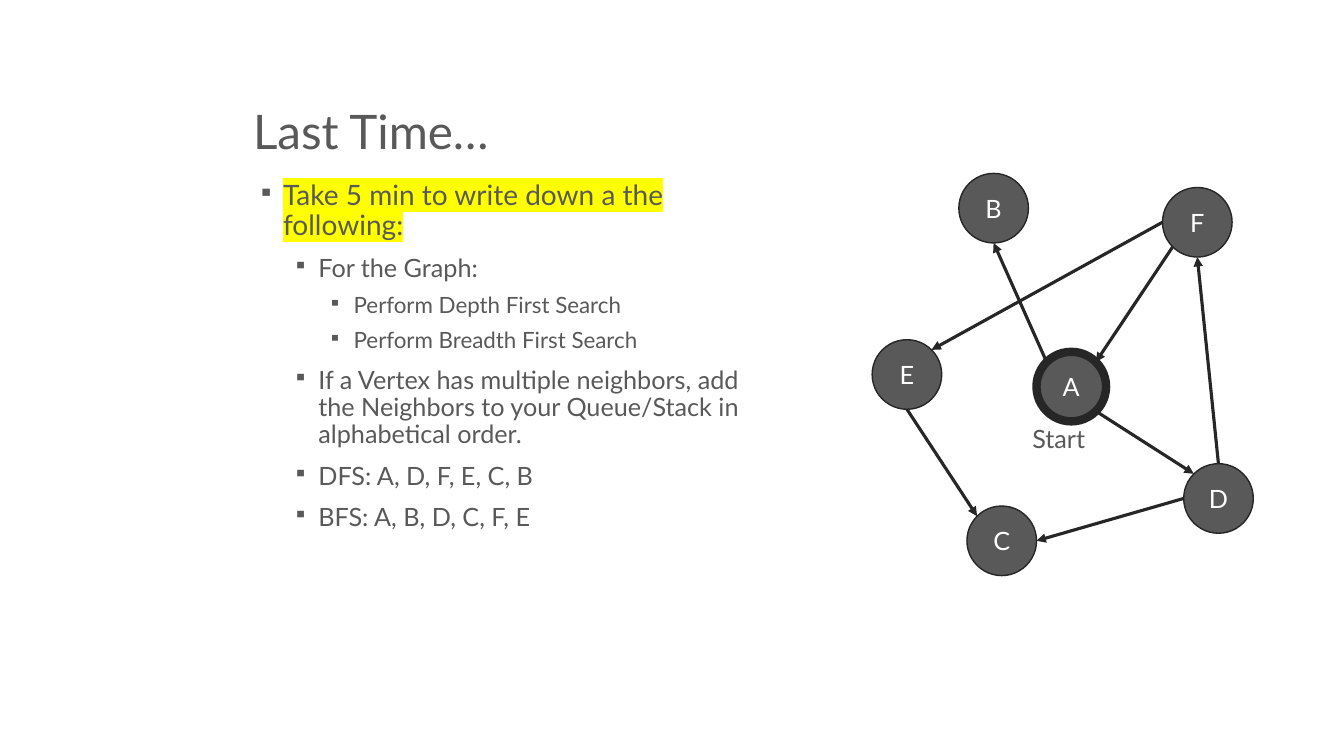
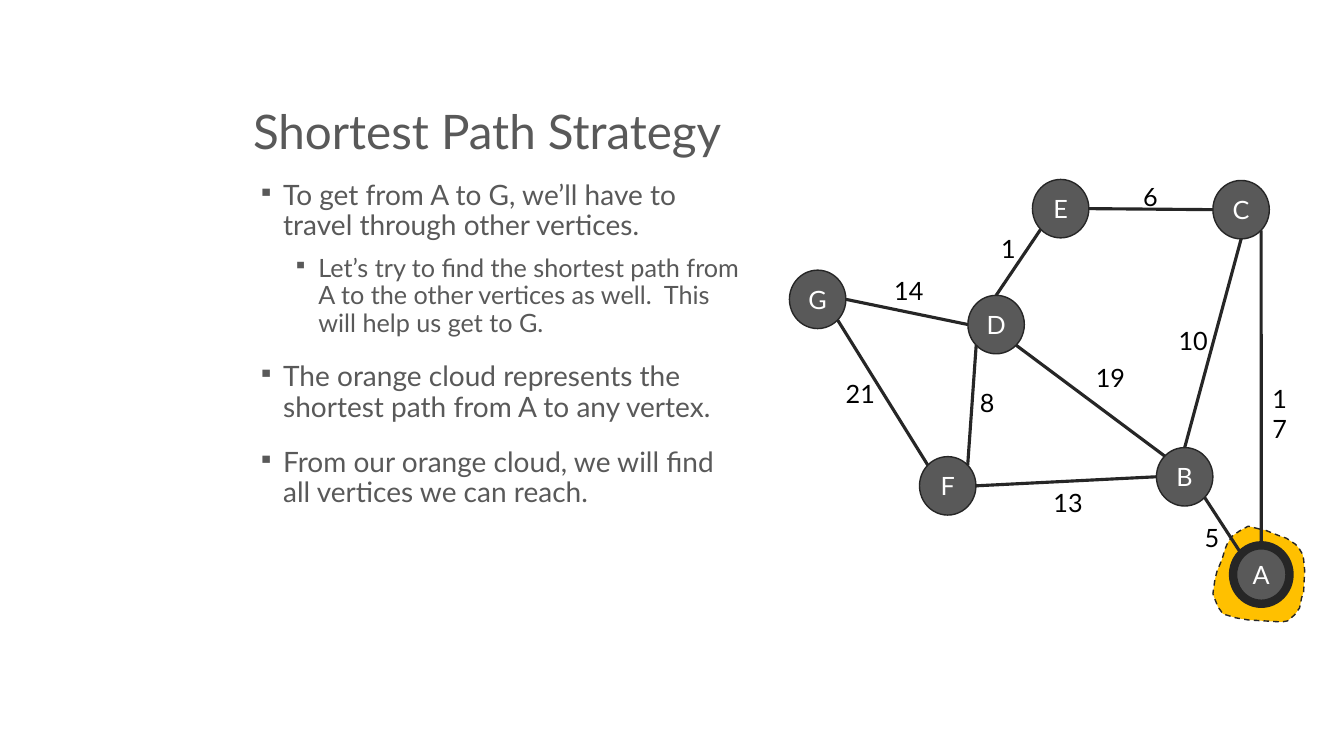
from math import cos, pi, sin
from lxml.etree import SubElement
from pptx import Presentation
from pptx.dml.color import RGBColor
from pptx.enum.dml import MSO_LINE
from pptx.enum.shapes import MSO_CONNECTOR, MSO_SHAPE
from pptx.enum.text import MSO_ANCHOR, PP_ALIGN
from pptx.oxml.ns import qn
from pptx.util import Inches, Pt

FONT = "Lato"
HEX = {"text": "595959", "node": "595959", "line": "262626", "white": "FFFFFF",
       "black": "000000", "mark": "FFFF00", "cloud": "FFC000"}
RGB = {name: RGBColor.from_string(code) for name, code in HEX.items()}

# Body levels: (text size, space before, indent)
LEVELS = [(20, 18, 0.3), (18, 10, 0.65), (16, 8, 1)]

# Nodes: left, top. Edges: from, site, to, site; an ellipse has
# eight sites, numbered from the top and running counter-clockwise.
SLIDES = [
    {
        "title": "Last Time…",
        "width": 5.24,
        "body": [
            (0, "Take 5 min to write down a the following:"),
            (1, "For the Graph:"),
            (2, "Perform Depth First Search"),
            (2, "Perform Breadth First Search"),
            (1, "If a Vertex has multiple neighbors, add the Neighbors "
                "to your Queue/Stack in alphabetical order."),
            (1, "DFS: A, D, F, E, C, B"),
            (1, "BFS: A, B, D, C, F, E"),
        ],
        "mark": True,
        "size": (0.69, 0.69),
        "nodes": {"B": (9.51, 1.72), "E": (8.65, 3.37), "F": (11.53, 1.86),
                  "C": (9.59, 5.02), "A": (10.28, 3.49), "D": (11.74, 4.6)},
        "edges": ["A1B4", "A5D1", "D2C6", "D0F4", "F3A7", "E4C1", "F2E7"],
        "arrow": True,
        "ink": "text",
        "labels": [("Start", 10.14, 4.15, 0.76)],
        "cloud": [],
    },
    {
        "title": "Shortest Path Strategy",
        "width": 5.11,
        "body": [
            (0, "To get from A to G, we’ll have to travel through other vertices."),
            (1, "Let’s try to find the shortest path from A to the other "
                "vertices as well.  This will help us get to G."),
            (0, "The orange cloud represents the shortest path from A to any vertex."),
            (0, "From our orange cloud, we will find all vertices we can reach."),
        ],
        "mark": False,
        "size": (0.56, 0.58),
        "nodes": {"G": (7.83, 2.68), "F": (9.12, 4.53), "E": (10.24, 1.78),
                  "B": (11.47, 4.44), "D": (9.6, 2.93), "C": (12.03, 1.79),
                  "A": (12.23, 5.41)},
        "edges": ["D0E3", "C2E6", "B0C4", "F7D3", "G6D2", "G5F1", "F6B2",
                  "A1B5", "A0C5", "B1D5"],
        "arrow": False,
        "ink": "black",
        "labels": [("5", 11.85, 5.13, 0.37), ("21", 8.29, 3.7, 0.54),
                   ("13", 10.35, 4.79, 0.54), ("8", 9.62, 3.79, 0.54),
                   ("19", 10.77, 3.55, 0.54), ("6", 11.24, 1.75, 0.54),
                   ("1", 9.83, 2.27, 0.32), ("17", 12.52, 3.75, 0.48),
                   ("10", 11.59, 3.18, 0.51), ("14", 8.77, 2.68, 0.54)],
        "cloud": [(12.46, 5.24), (12.5, 5.25), (12.55, 5.26), (12.65, 5.3),
                  (12.7, 5.32), (12.76, 5.34), (12.85, 5.4), (12.89, 5.45),
                  (12.92, 5.5), (12.93, 5.55), (12.94, 5.66), (12.93, 5.87),
                  (12.91, 5.93), (12.89, 6.03), (12.84, 6.1), (12.77, 6.16),
                  (12.71, 6.17), (12.38, 6.15), (12.26, 6.13), (12.16, 6.1),
                  (12.13, 6.09), (12.08, 6.02), (12.04, 5.92), (12.03, 5.89),
                  (12.05, 5.75), (12.07, 5.67), (12.12, 5.55), (12.15, 5.45),
                  (12.17, 5.4), (12.22, 5.32), (12.29, 5.27), (12.38, 5.22)],
    },
]


def style(par, size, ink):
    for run in par.runs:
        run.font.name = FONT
        run.font.size = Pt(size)
        run.font.color.rgb = RGB[ink]


def site(node, num):
    turn = num * pi / 4
    x = node.left + node.width * (1 - sin(turn)) / 2
    y = node.top + node.height * (1 - cos(turn)) / 2
    return round(x), round(y)


prs = Presentation()
prs.slide_width, prs.slide_height = Inches(13.33), Inches(7.5)

for data in SLIDES:
    slide = prs.slides.add_slide(prs.slide_layouts[5])
    shapes = slide.shapes

    # Title
    title = shapes.title
    title.left, title.top = Inches(2.41), Inches(0.33)
    title.width, title.height = Inches(10.25), Inches(1.31)
    title.text_frame.text = data["title"]
    title.text_frame.vertical_anchor = MSO_ANCHOR.BOTTOM
    par = title.text_frame.paragraphs[0]
    par.alignment = PP_ALIGN.LEFT
    par.line_spacing = 0.9
    style(par, 34, "text")

    # Cloud behind the graph
    if data["cloud"]:
        dots = [(Inches(x), Inches(y)) for x, y in data["cloud"]]
        draft = shapes.build_freeform(*dots[0])
        draft.add_line_segments(dots[1:], close=True)
        cloud = draft.convert_to_shape()
        cloud.shadow.inherit = False
        cloud.fill.solid()
        cloud.fill.fore_color.rgb = RGB["cloud"]
        cloud.line.color.rgb = RGB["line"]
        cloud.line.width = Pt(1)
        cloud.line.dash_style = MSO_LINE.DASH

    # Bulleted body
    box = shapes.add_textbox(Inches(2.41), Inches(1.75),
                             Inches(data["width"]), Inches(4.5))
    frame = box.text_frame
    frame.word_wrap = True
    for i, (level, text) in enumerate(data["body"]):
        par = frame.add_paragraph() if i else frame.paragraphs[0]
        par.text = text
        par.level = level
        par.line_spacing = 0.9
        size, gap, indent = LEVELS[level]
        par.space_before = Pt(gap)
        style(par, size, "text")
        props = par._p.get_or_add_pPr()
        props.set("marL", str(Inches(indent)))
        props.set("indent", str(Inches(-0.25)))
        SubElement(props, qn("a:buSzPct"), val="80000")
        SubElement(props, qn("a:buChar"), char="▪")

    # Highlight on the first line
    if data["mark"]:
        look = frame.paragraphs[0].runs[0].font._element
        mark = SubElement(look, qn("a:highlight"))
        SubElement(mark, qn("a:srgbClr"), val=HEX["mark"])
        look.find(qn("a:solidFill")).addnext(mark)

    # Nodes
    wide, high = data["size"]
    nodes = {}
    for name, (x, y) in data["nodes"].items():
        node = shapes.add_shape(MSO_SHAPE.OVAL, Inches(x), Inches(y),
                                Inches(wide), Inches(high))
        node.shadow.inherit = False
        node.fill.solid()
        node.fill.fore_color.rgb = RGB["node"]
        node.line.color.rgb = RGB["line"]
        node.line.width = Pt(6 if name == "A" else 1)
        node.text_frame.text = name
        node.text_frame.vertical_anchor = MSO_ANCHOR.MIDDLE
        par = node.text_frame.paragraphs[0]
        par.alignment = PP_ALIGN.CENTER
        style(par, 18, "white")
        nodes[name] = node

    # Edges, joined to their nodes
    for start, out, end, into in data["edges"]:
        ends = [("a:stCxn", nodes[start], int(out)),
                ("a:endCxn", nodes[end], int(into))]
        (x1, y1), (x2, y2) = [site(node, num) for _, node, num in ends]
        edge = shapes.add_connector(MSO_CONNECTOR.STRAIGHT, x1, y1, x2, y2)
        edge.line.color.rgb = RGB["line"]
        edge.line.width = Pt(2.25)
        if data["arrow"]:
            SubElement(edge.line._get_or_add_ln(), qn("a:tailEnd"), type="triangle")
        SubElement(edge._element.spPr, qn("a:effectLst"))
        joint = edge._element.nvCxnSpPr.cNvCxnSpPr
        for tag, node, num in ends:
            SubElement(joint, qn(tag), id=str(node.shape_id), idx=str(num))

    # Labels
    for text, x, y, wide in data["labels"]:
        label = shapes.add_textbox(Inches(x), Inches(y), Inches(wide), Inches(0.4))
        label.text_frame.word_wrap = text.isdigit()
        label.text_frame.text = text
        style(label.text_frame.paragraphs[0], 18, data["ink"])

prs.save("out.pptx")
